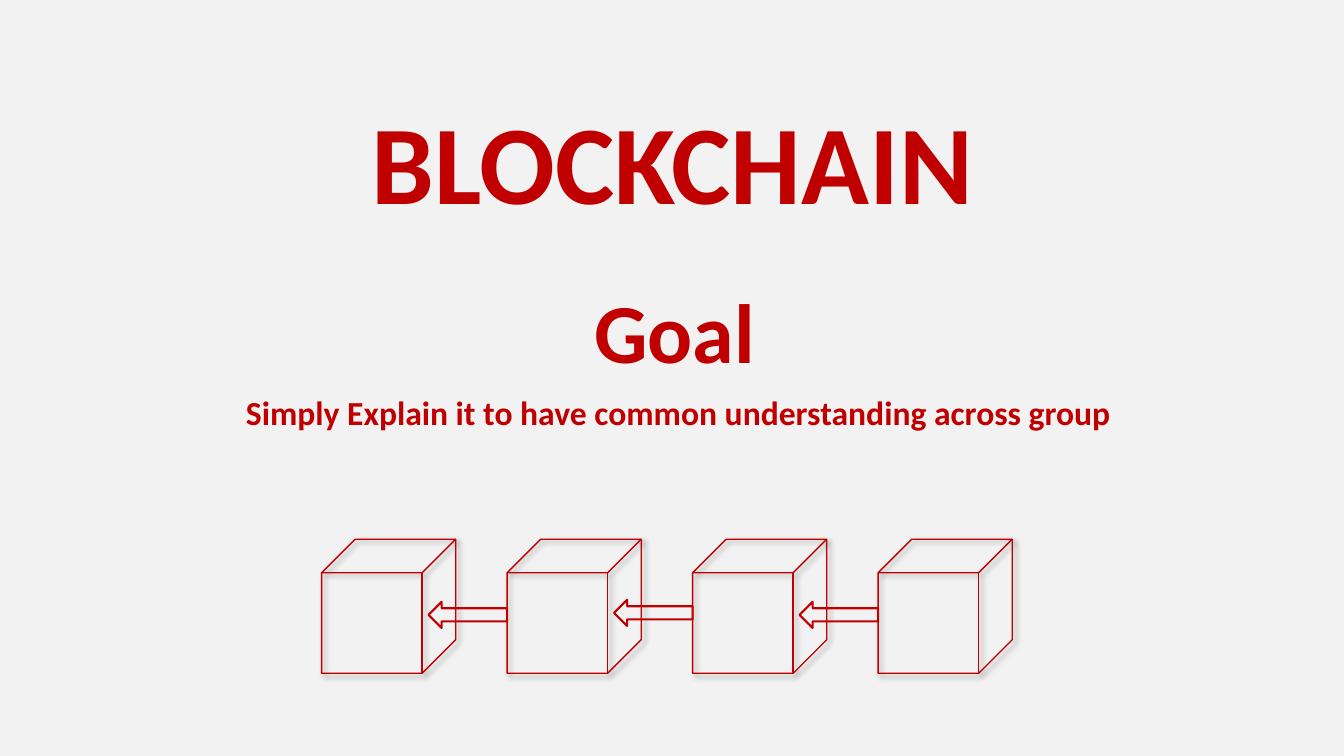
from lxml.etree import SubElement
from pptx import Presentation
from pptx.dml.color import RGBColor
from pptx.enum.shapes import MSO_SHAPE as SHAPE
from pptx.enum.text import MSO_ANCHOR as ANCHOR, MSO_AUTO_SIZE as FIT, PP_ALIGN as ALIGN
from pptx.oxml.ns import qn
from pptx.util import Pt

PX = 9144
RED = RGBColor(0xC0, 0x00, 0x00)
PALE_GREY = RGBColor(0xF2, 0xF2, 0xF2)
FONT = "Calibri"
CUBE, CUBE_STEP = 133, 184
ARROW_W, ARROW_H = 78, 26
ARROW_TOPS = (62, 60, 62)


def place(sp, x, y, w, h):
    """Move a shape to a box given in px."""
    for name, value in dict(left=x, top=y, width=w, height=h).items():
        setattr(sp, name, value * PX)


def write(tf, lines, anchor, space=0):
    """Fill a text frame with centred bold red lines of (text, size)."""
    frame = dict(word_wrap=True, auto_size=FIT.NONE, vertical_anchor=anchor)
    for name, value in frame.items():
        setattr(tf, name, value)
    for i, (text, size) in enumerate(lines):
        p = tf.add_paragraph() if i else tf.paragraphs[0]
        layout = dict(alignment=ALIGN.CENTER, line_spacing=0.9, space_before=Pt(space))
        for name, value in layout.items():
            setattr(p, name, value)
        r = p.add_run()
        r.text = text
        for name, value in dict(name=FONT, size=Pt(size), bold=True).items():
            setattr(r.font, name, value)
        r.font.color.rgb = RED


def add_outline(s, kind, box, weight):
    """Add an unfilled red preset shape without a shadow."""
    x, y, w, h = (n * PX for n in box)
    sp = s.shapes.add_shape(kind, x, y, w, h)
    sp.shadow.inherit = False
    sp.fill.background()
    sp.line.color.rgb = RED
    sp.line.width = Pt(weight)
    return sp


def add_shadow(sp):
    """Give a shape a soft shadow towards the lower right."""
    effects = sp._element.spPr.find(qn("a:effectLst"))
    shadow = SubElement(effects, qn("a:outerShdw"), blurRad=str(Pt(4)),
                        dist=str(Pt(3)), dir="2700000", algn="tl", rotWithShape="0")
    colour = SubElement(shadow, qn("a:srgbClr"), val="000000")
    SubElement(colour, qn("a:alpha"), val="40000")


def add_heading(s, x, y, w):
    """Place the title and, below it, the goal."""
    place(s.shapes.title, x, y, w, 135)
    write(s.shapes.title.text_frame, [("BLOCKCHAIN", 80)], ANCHOR.BOTTOM)
    goal = s.shapes.add_textbox(0, 0, 0, 0)
    place(goal, x + 2, y + 187, w, 181)
    lines = [("Goal", 60),
             (" Simply Explain it to have common understanding across group", 24)]
    write(goal.text_frame, lines, ANCHOR.TOP, space=10)


def add_chain(s, x, y):
    """Draw the row of cubes, each linked back to the one before."""
    for i in range(len(ARROW_TOPS) + 1):
        add_shadow(add_outline(s, SHAPE.CUBE, (x + i * CUBE_STEP, y, CUBE, CUBE), 1))
    for i, top in enumerate(ARROW_TOPS, start=1):
        box = (x + i * CUBE_STEP - ARROW_W, y + top, ARROW_W, ARROW_H)
        add_outline(s, SHAPE.LEFT_ARROW, box, 1.5)


def main():
    """Build the blockchain opening slide."""
    prs = Presentation()
    prs.slide_width, prs.slide_height = 1333 * PX, 750 * PX
    s = prs.slides.add_slide(prs.slide_layouts[5])
    s.background.fill.solid()
    s.background.fill.fore_color.rgb = PALE_GREY
    add_heading(s, 167, 97, 1000)
    add_chain(s, 319, 535)
    prs.save("out.pptx")


if __name__ == "__main__":
    main()
